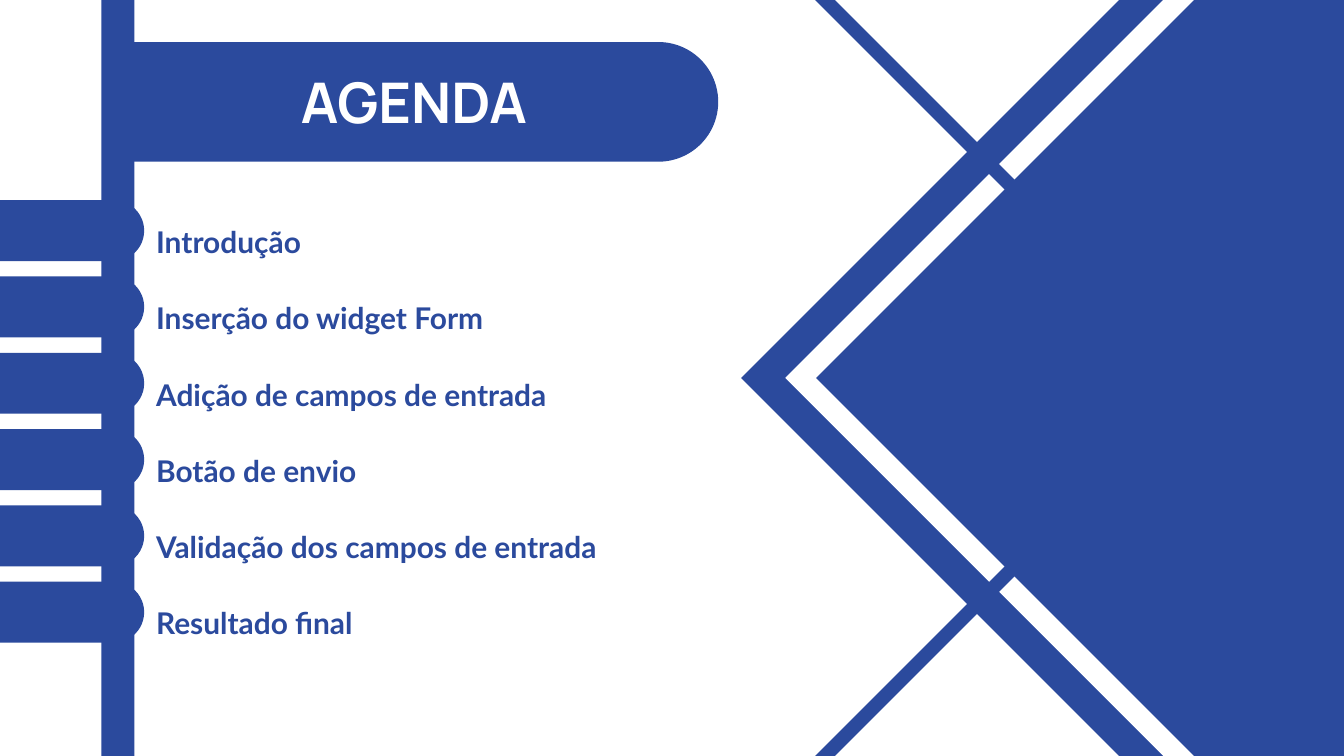
from pptx import Presentation
from pptx import util as u
from pptx.dml.color import RGBColor
from pptx.enum import shapes, text

BLUE = RGBColor(0x2B, 0x4A, 0x9D)
WHITE = RGBColor(0xFF, 0xFF, 0xFF)
KIND = shapes.MSO_SHAPE

TOPICS = [
    "Introdução",
    "Inserção do widget Form",
    "Adição de campos de entrada",
    "Botão de envio",
    "Validação dos campos de entrada",
    "Resultado final",
]
STEP = 109


def px(n):
    """96 px to the inch."""
    return u.Emu(round(n * 9525))


def add_form(slide, kind, x, y, w, h, color=BLUE, turn=0):
    form = slide.shapes.add_shape(kind, px(x), px(y), px(w), px(h))
    form.shadow.inherit = False
    form.fill.solid()
    form.fill.fore_color.rgb = color
    form.line.fill.background()
    form.rotation = turn
    return form


def add_frame(slide, x, y, size, band, color):
    """Square ring standing on its corner."""
    frame = add_form(slide, KIND.FRAME, x, y, size, size, color, 45)
    frame.adjustments[0] = band / size


def add_tab(slide, x, y, w, h):
    """Bar with a round right end, given by the place where it shows."""
    shift = (w - h) / 2
    tab = add_form(slide, KIND.ROUND_2_SAME_RECTANGLE,
                   x + shift, y - shift, h, w, turn=270)
    tab.adjustments[0] = 0
    tab.adjustments[1] = 0.5


def add_label(slide, words, x, y, w, h, face, size, color, space, align):
    box = slide.shapes.add_textbox(px(x), px(y), px(w), px(h))
    frame = box.text_frame
    frame.word_wrap = True
    frame.auto_size = text.MSO_AUTO_SIZE.SHAPE_TO_FIT_TEXT
    frame.margin_left = frame.margin_right = 0
    frame.margin_top = frame.margin_bottom = 0
    para = frame.paragraphs[0]
    para.text = words
    para.alignment = align
    para.line_spacing = space
    font = para.font
    font.name, font.size, font.bold = face, u.Pt(size), True
    font.color.rgb = color


def main():
    deck = Presentation()
    deck.slide_width, deck.slide_height = px(1920), px(1080)
    slide = deck.slides.add_slide(deck.slide_layouts[6])

    # Upright bar
    add_form(slide, KIND.RECTANGLE, 145, 0, 47, 1080)

    # Diamond and crossing bands on the right
    add_form(slide, KIND.RECTANGLE, 1280, 6, 1068, 1068, turn=315)
    add_frame(slide, 1326, 47, 986, 31, WHITE)
    for y in (845, -412):
        add_frame(slide, 1210, y, 647, 20, BLUE)

    # Title
    add_tab(slide, 191, 60, 835, 171)
    add_label(slide, "AGENDA", 223, 92, 737, 94,
              "Manrope", 60, WHITE, 1.05, text.PP_ALIGN.CENTER)

    # Topics with their tabs
    for i, topic in enumerate(TOPICS):
        add_tab(slide, 0, 286 + i * STEP, 206, 87)
        add_label(slide, topic, 223, 299 + i * STEP, 852 if i > 3 else 771, 57,
                  "Lato", 32, BLUE, 1.4, text.PP_ALIGN.LEFT)

    deck.save("out.pptx")


if __name__ == "__main__":
    main()
